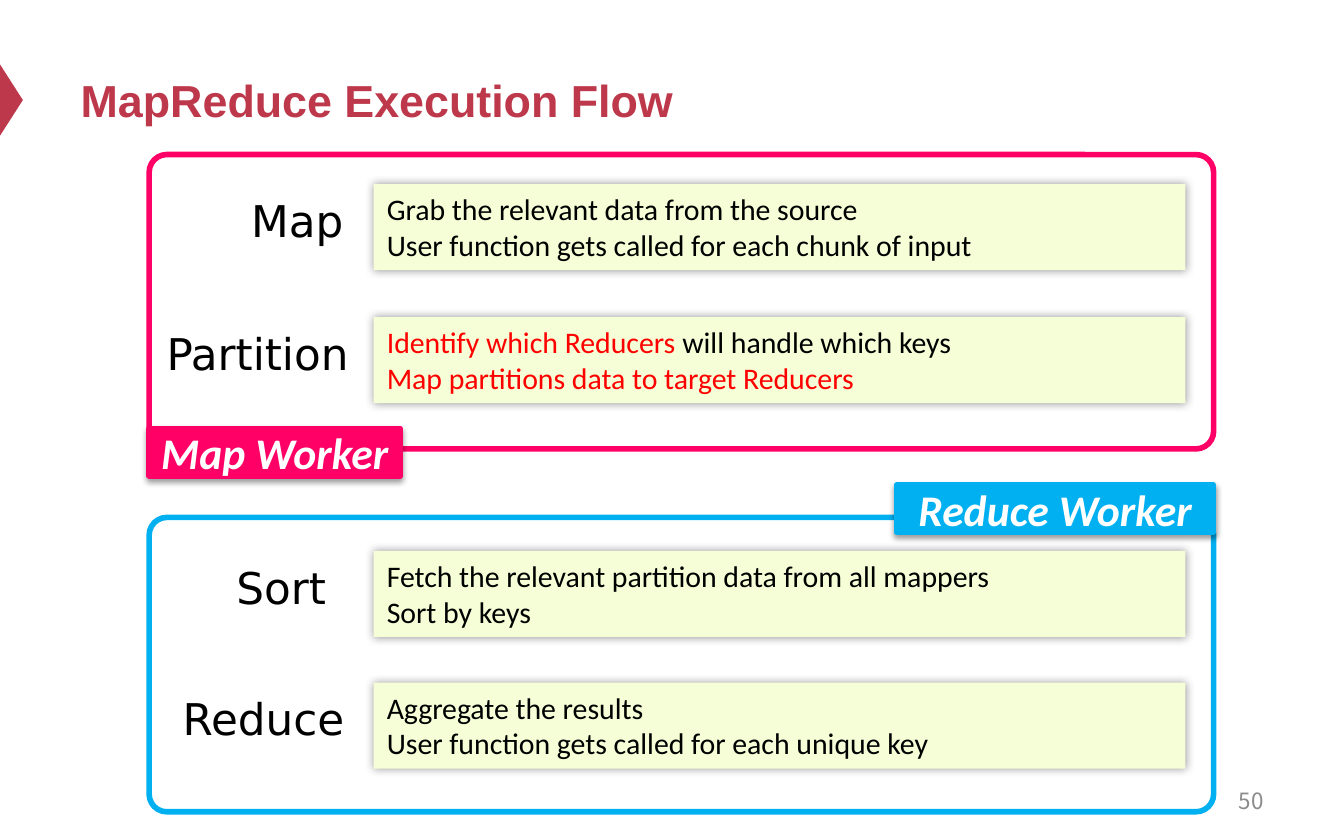
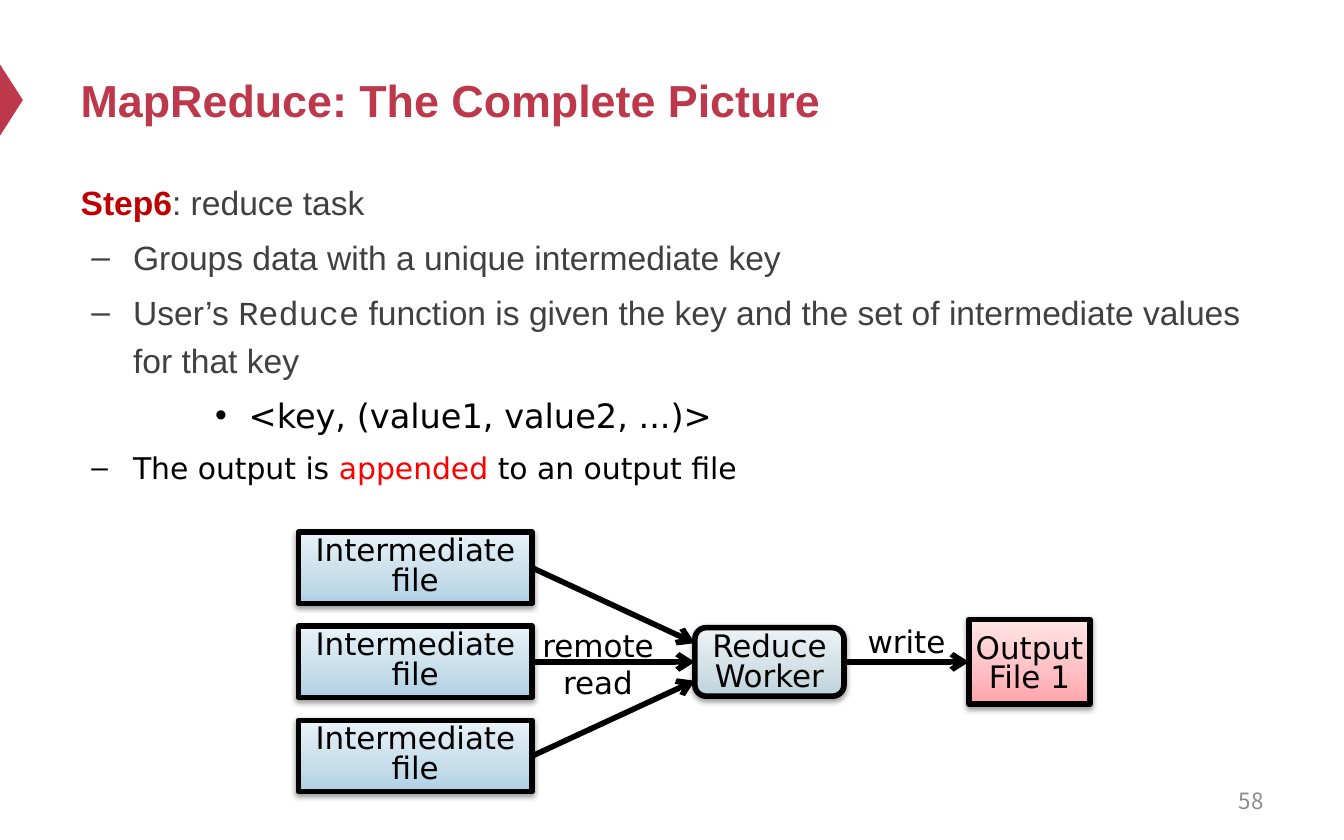
"""Builds two slides on MapReduce: the execution flow and the reduce step."""
import dataclasses

import pptx
import pptx.dml.color
import pptx.enum.shapes
import pptx.enum.text
import pptx.oxml
import pptx.oxml.ns
import pptx.util

Inches = pptx.util.Inches
Pt = pptx.util.Pt
SHAPE = pptx.enum.shapes.MSO_SHAPE
ALIGN = pptx.enum.text.PP_ALIGN
ANCHOR = pptx.enum.text.MSO_ANCHOR
FIT = pptx.enum.text.MSO_AUTO_SIZE
qn = pptx.oxml.ns.qn


@dataclasses.dataclass(frozen=True)
class Theme:
    """Colours, fonts and type sizes."""
    accent: str = "BE384B"
    step: str = "C00000"
    body: str = "404040"
    black: str = "000000"
    white: str = "FFFFFF"
    red: str = "FF0000"
    muted: str = "8C8C8C"
    panel: str = "F5FED6"
    map_worker: str = "FF0066"
    reduce_worker: str = "00B0F0"
    file_fill: tuple = ("ADD0E3", "C6DDEA", "E9F2F8")
    worker_fill: tuple = ("BDD3DB", "D1DFE5", "EDF3F5")
    output_fill: tuple = ("FFA2A8", "FFBDC1", "FFE6E7")
    heading_font: str = "Arial"
    panel_font: str = "Calibri"
    label_font: str = "DejaVu Sans"
    code_font: str = "Courier New"
    number_font: str = "Noto Sans CJK SC"
    title_size: float = 24
    label_size: float = 23.4
    body_size: float = 18
    diagram_size: float = 16.6
    panel_size: float = 16
    number_size: float = 12
    outline: float = 3


THEME = Theme()
RED = {"color": THEME.red}
PLAIN = {"font": THEME.label_font, "color": THEME.black}
SMALL = {**PLAIN, "size": THEME.panel_size}

FLOW_TITLE, FLOW_NUMBER = "MapReduce Execution Flow", "50"
WORKERS = [
    {"name": "Map Worker", "color": THEME.map_worker, "top": 1.15,
     "tag": (1.11, 3.19, 1.87, 0.35),
     "steps": [
         ("Map", 0.63, 1.37, ["Grab the relevant data from the source",
                              "User function gets called for each chunk of input"]),
         ("Partition", 0, 2.36, [[("Identify which Reducers", RED),
                                  (" will handle which keys", {})],
                                 [("Map partitions data to target Reducers", RED)]]),
     ]},
    {"name": "Reduce Worker", "color": THEME.reduce_worker, "top": 3.85,
     "tag": (6.67, 3.61, 2.36, 0.35),
     "steps": [
         ("Sort", 0.52, 4.1, ["Fetch the relevant partition data from all mappers",
                              "Sort by keys"]),
         ("Reduce", 0.12, 5.08, ["Aggregate the results",
                                 "User function gets called for each unique key"]),
     ]},
]

PICTURE_TITLE, PICTURE_NUMBER = "MapReduce: The Complete Picture", "58"
OUTLINE = [
    (0, [("Step6", {"color": THEME.step, "bold": True}), (": reduce task", {})]),
    (1, "Groups data with a unique intermediate key"),
    (1, [("User’s ", {}), ("Reduce", {"font": THEME.code_font}),
         (" function is given the key and the set of intermediate values for that key", {})]),
    (2, [("<key, (value1, value2, ...)>", PLAIN)]),
    (1, [("The output is ", SMALL), ("appended", {**SMALL, **RED}),
         (" to an output file", SMALL)]),
]
LEVELS = [(0, 0, None), (0.39, -0.31, "–"), (1.25, -0.25, "•")]
FILE_COUNT, FILE_GAP = 3, 0.7
FILE_BOX = (2.22, 3.96, 1.74, 0.53)
WORKER_BOX = (5.17, 4.67, 1.11, 0.51)
OUTPUT_BOX = (7.21, 4.61, 0.9, 0.63)
ARROW_SPREAD = 0.14
ARROW_LABELS = [(["remote", "read"], (3.93, 4.61, 1.04, 0.66)),
                (["write"], (6.35, 4.58, 0.79, 0.38))]


def rgb(value):
    return pptx.dml.color.RGBColor.from_string(value)


def xml(tag, content="", **attributes):
    listed = " ".join(f'{key}="{value}"' for key, value in attributes.items())
    return pptx.oxml.parse_xml(
        f'<a:{tag} {pptx.oxml.ns.nsdecls("a")} {listed}>{content}</a:{tag}>')


def write(frame, paragraphs, font, size, color=THEME.black, bold=False, italic=False,
          align=ALIGN.LEFT, spacing=None, wrap=True, anchor=ANCHOR.TOP, margins=None):
    """Fills a frame with strings or lists of (text, overrides)."""
    frame.word_wrap = wrap
    frame.auto_size = FIT.NONE
    frame.vertical_anchor = anchor
    if margins:
        (frame.margin_left, frame.margin_top,
         frame.margin_right, frame.margin_bottom) = map(Inches, margins)
    base = {"font": font, "size": size, "color": color, "bold": bold}
    for index, content in enumerate(paragraphs):
        paragraph = frame.add_paragraph() if index else frame.paragraphs[0]
        paragraph.alignment = align
        if spacing:
            paragraph.line_spacing = spacing
        for text, overrides in [(content, {})] if isinstance(content, str) else content:
            style = {**base, **overrides}
            run = paragraph.add_run()
            run.text = text
            run.font.name = style["font"]
            run.font.size = Pt(style["size"])
            run.font.bold = style["bold"]
            run.font.italic = italic
            run.font.color.rgb = rgb(style["color"])


def add_box(slide, kind, box, fill=None, line=None, shadow=None):
    """Adds a shape; fill is a colour or three gradient stops."""
    shape = slide.shapes.add_shape(kind, *map(Inches, box))
    if fill is None:
        shape.fill.background()
    elif isinstance(fill, str):
        shape.fill.solid()
        shape.fill.fore_color.rgb = rgb(fill)
    else:
        shape.fill.gradient()
        shape.fill.gradient_angle = 90
        stops = shape.element.spPr.find(qn("a:gradFill")).find(qn("a:gsLst"))
        for stop in list(stops):
            stops.remove(stop)
        for place, color in zip((0, 35, 100), fill):
            stops.append(xml("gs", f'<a:srgbClr val="{color}"/>', pos=place * 1000))
    if line:
        shape.line.color.rgb = rgb(line)
        shape.line.width = Pt(THEME.outline)
    else:
        shape.line.fill.background()
    shape.shadow.inherit = False
    if shadow:
        alpha, blur, distance, angle = shadow
        shape.element.spPr.find(qn("a:effectLst")).append(xml(
            "outerShdw",
            f'<a:srgbClr val="{THEME.black}"><a:alpha val="{alpha * 1000}"/></a:srgbClr>',
            blurRad=Pt(blur), dist=Pt(distance), dir=angle * 60000, rotWithShape=0))
    return shape


def add_text(slide, box, paragraphs, font, size, **style):
    frame = slide.shapes.add_textbox(*map(Inches, box)).text_frame
    write(frame, paragraphs, font, size, **style)


def place(shape, box):
    shape.left, shape.top, shape.width, shape.height = map(Inches, box)


def add_slide(deck, layout, title, number):
    slide = deck.slides.add_slide(deck.slide_layouts[layout])
    marker = add_box(slide, SHAPE.ISOSCELES_TRIANGLE, (-0.18, 0.66, 0.53, 0.17), THEME.accent)
    marker.rotation = 90
    place(slide.shapes.title, (0.5, 0.25, 9, 0.98))
    write(slide.shapes.title.text_frame, [title], THEME.heading_font, THEME.title_size,
          THEME.accent, bold=True, anchor=ANCHOR.MIDDLE)
    add_text(slide, (7.17, 5.79, 2.33, 0.33), [number], THEME.number_font,
             THEME.number_size, color=THEME.muted, align=ALIGN.RIGHT, anchor=ANCHOR.MIDDLE)
    return slide


SOFT_SHADOW = (40, 5, 0, 0)
DROP_SHADOW = (38, 3.1, 1.6, 90)


def build_flow(deck):
    slide = add_slide(deck, 5, FLOW_TITLE, FLOW_NUMBER)
    for worker in WORKERS:
        frame = add_box(slide, SHAPE.ROUNDED_RECTANGLE, (1.11, worker["top"], 7.92, 2.19),
                        line=worker["color"])
        frame.adjustments[0] = 0.06
        tag = add_box(slide, SHAPE.RECTANGLE, worker["tag"], worker["color"],
                      worker["color"], DROP_SHADOW)
        write(tag.text_frame, [worker["name"]], THEME.panel_font, THEME.label_size,
              THEME.white, bold=True, italic=True, align=ALIGN.CENTER, wrap=False,
              anchor=ANCHOR.MIDDLE)
        for label, indent, top, lines in worker["steps"]:
            panel = add_box(slide, SHAPE.RECTANGLE, (2.78, top, 6.04, 0.64),
                            THEME.panel, shadow=SOFT_SHADOW)
            write(panel.text_frame, lines, THEME.panel_font, THEME.panel_size)
            add_text(slide, (1.11, top, 1.67, 0.5), [label], THEME.label_font,
                     THEME.label_size, margins=(0.13 + indent, 0.07, 0, 0.04))


def add_outline(slide):
    body = slide.placeholders[1]
    place(body, (0.5, 1.24, 9, 4.12))
    write(body.text_frame, [content for _, content in OUTLINE], THEME.heading_font,
          THEME.body_size, THEME.body, spacing=1.2)
    for (level, _), paragraph in zip(OUTLINE, body.text_frame.paragraphs):
        margin, indent, bullet = LEVELS[level]
        paragraph.level = level
        paragraph.space_before = Pt(3.6 if level else 0)
        properties = paragraph._p.get_or_add_pPr()
        properties.set("marL", str(Inches(margin)))
        properties.set("indent", str(Inches(indent)))
        properties.append(xml("buChar", char=bullet) if bullet else xml("buNone"))


def add_arrow(slide, source, target, shift=0):
    """Joins the right side of source to the left side of target."""
    middle = target.top + target.height // 2 + Inches(shift)
    arrow = slide.shapes.add_connector(
        pptx.enum.shapes.MSO_CONNECTOR.STRAIGHT, source.left + source.width,
        source.top + source.height // 2, target.left, middle)
    arrow.begin_connect(source, 3)
    if not shift:
        arrow.end_connect(target, 1)
    arrow.line.color.rgb = rgb(THEME.black)
    arrow.line.width = Pt(THEME.outline)
    properties = arrow.element.spPr
    properties.find(qn("a:ln")).append(xml("tailEnd", type="arrow"))
    properties.append(xml("effectLst"))


def add_node(slide, kind, box, fill, lines, **style):
    node = add_box(slide, kind, box, fill, THEME.black, DROP_SHADOW)
    write(node.text_frame, lines, THEME.label_font, THEME.diagram_size,
          align=ALIGN.CENTER, spacing=0.8, anchor=ANCHOR.MIDDLE, **style)
    return node


def build_picture(deck):
    slide = add_slide(deck, 1, PICTURE_TITLE, PICTURE_NUMBER)
    add_outline(slide)
    worker = add_node(slide, SHAPE.ROUNDED_RECTANGLE, WORKER_BOX, THEME.worker_fill,
                      ["Reduce", "Worker"], wrap=False, margins=(0.08, 0.03, 0.08, 0))
    output = add_node(slide, SHAPE.RECTANGLE, OUTPUT_BOX, THEME.output_fill,
                      ["Output", "File 1"], wrap=False, margins=(0.1, 0.05, 0.1, 0))
    left, top, width, height = FILE_BOX
    for index in range(FILE_COUNT):
        source = add_node(slide, SHAPE.RECTANGLE, (left, top + index * FILE_GAP, width, height),
                          THEME.file_fill, ["Intermediate file"])
        add_arrow(slide, source, worker, (index - 1) * ARROW_SPREAD)
    add_arrow(slide, worker, output)
    for lines, box in ARROW_LABELS:
        add_text(slide, box, lines, THEME.label_font, THEME.diagram_size,
                 align=ALIGN.CENTER, wrap=False)


def main():
    deck = pptx.Presentation()
    deck.slide_width, deck.slide_height = Inches(10), Inches(6.25)
    build_flow(deck)
    build_picture(deck)
    deck.save("out.pptx")


if __name__ == "__main__":
    main()
